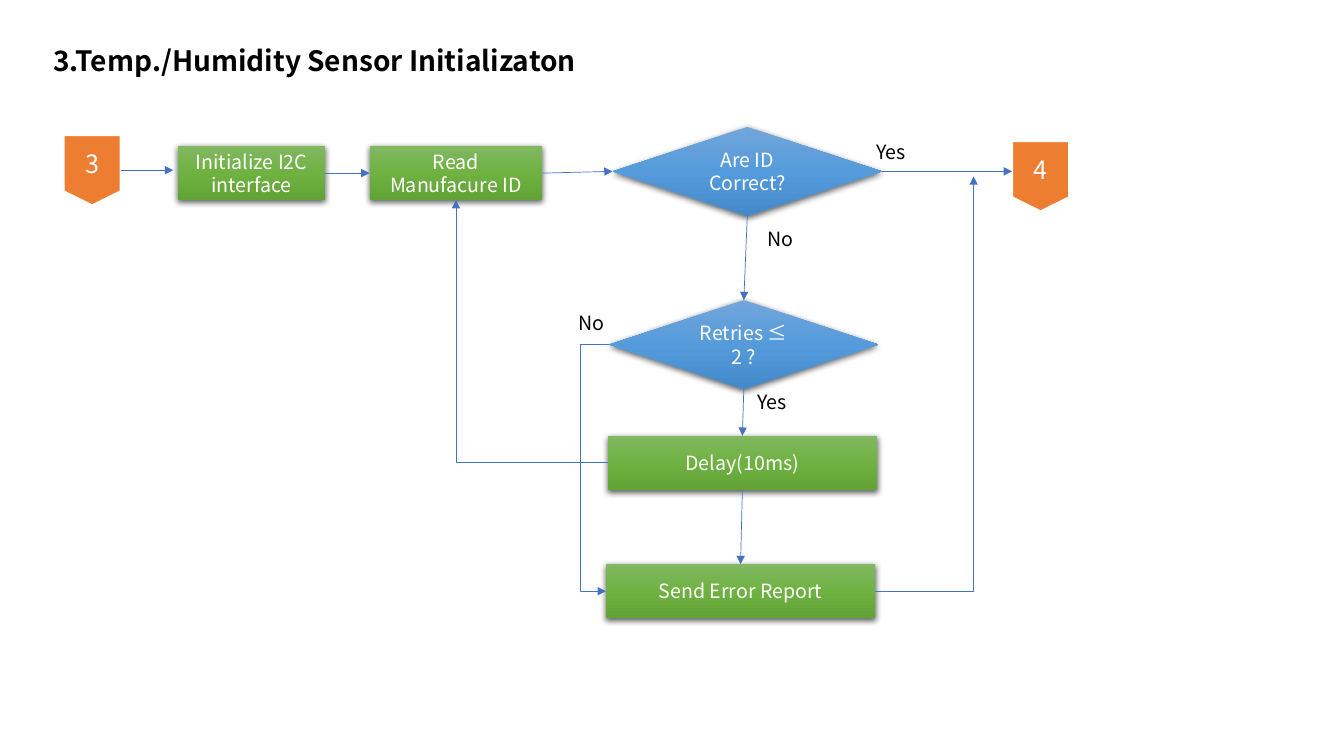
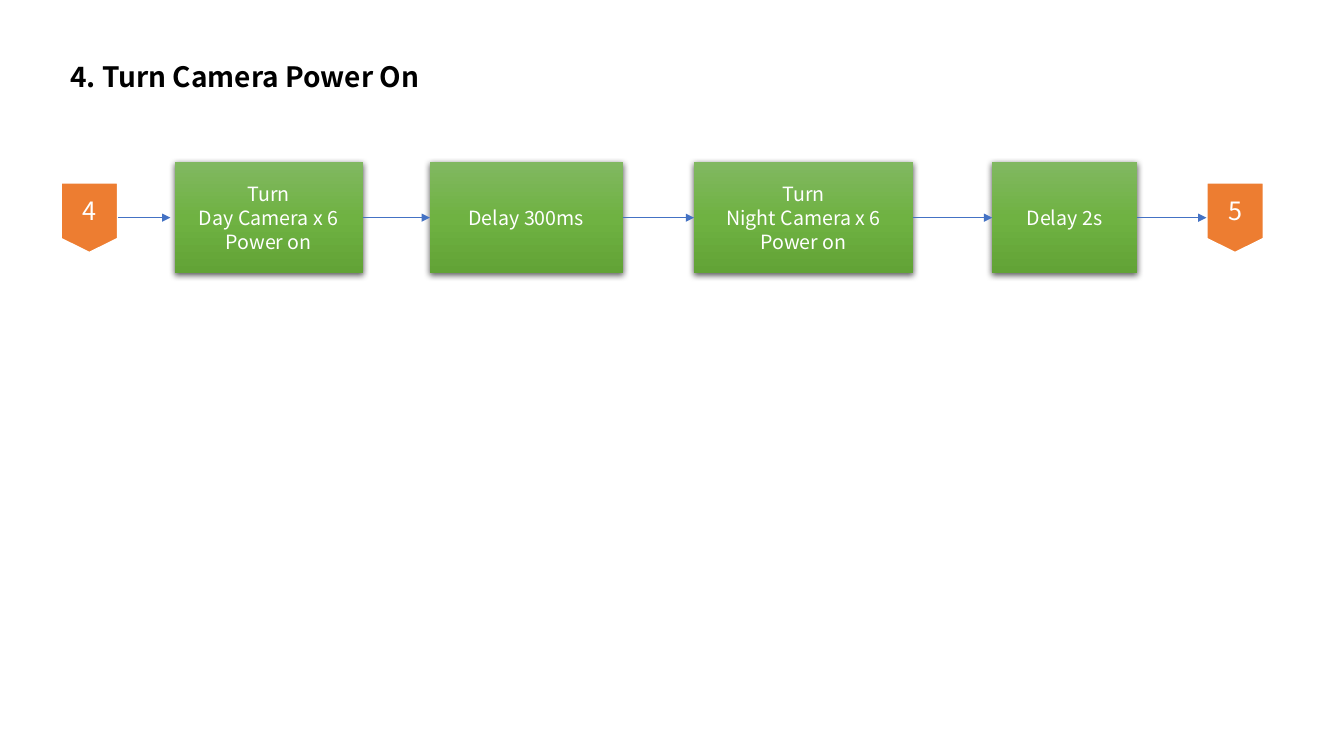
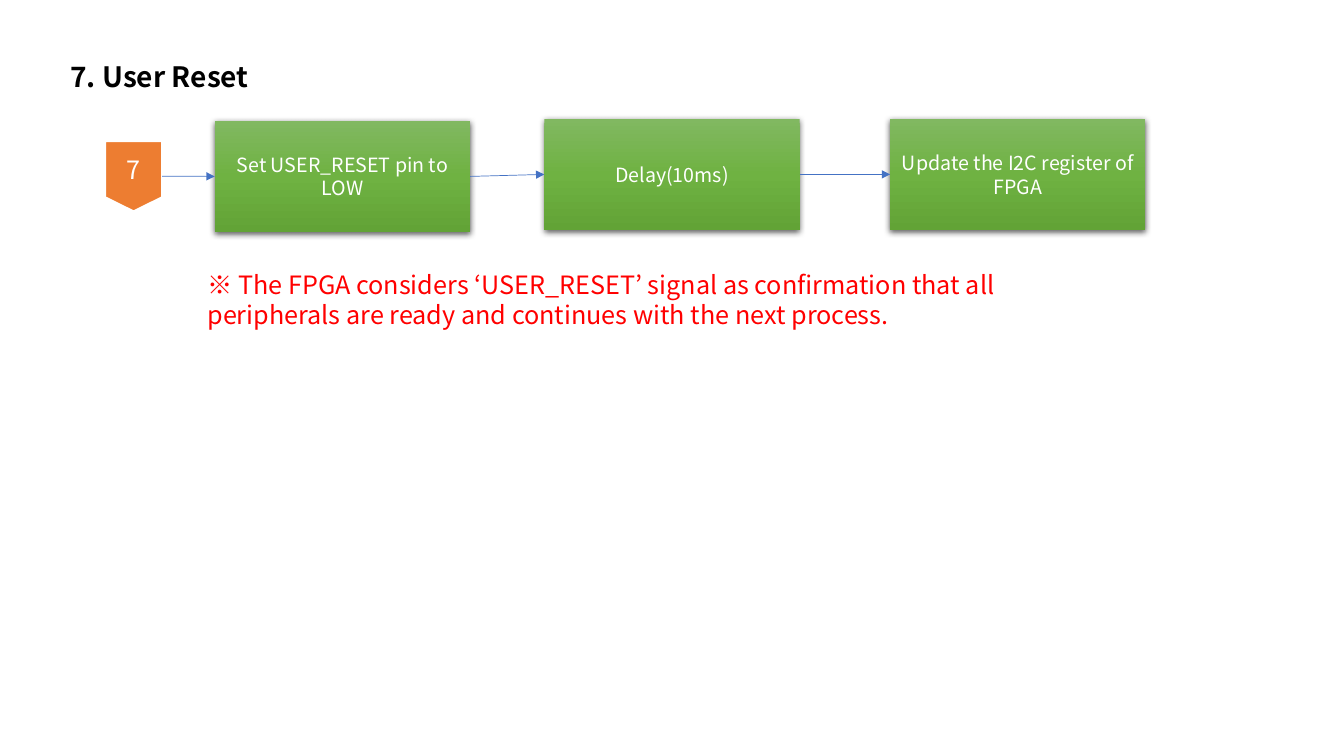
"""Draw three start-up flowcharts for a camera controller."""
import copy
import itertools

import lxml.etree
import pptx
import pptx.dml.color
import pptx.enum.shapes
import pptx.enum.text
import pptx.oxml.ns
import pptx.util

Pt = pptx.util.Pt
qn = pptx.oxml.ns.qn
Shape = pptx.enum.shapes.MSO_SHAPE
Connector = pptx.enum.shapes.MSO_CONNECTOR
Align = pptx.enum.text.PP_ALIGN
Anchor = pptx.enum.text.MSO_ANCHOR
TOP, LEFT, BOTTOM, RIGHT = range(4)


def color(value):
    return pptx.dml.color.RGBColor.from_string(value)


def write(frame, text, size=14, ink="FFFFFF", bold=False, align=Align.CENTER, anchor=Anchor.MIDDLE):
    frame.word_wrap = True
    frame.vertical_anchor = anchor
    for index, line in enumerate(text.split("\n")):
        paragraph = frame.add_paragraph() if index else frame.paragraphs[0]
        paragraph.alignment = align
        run = paragraph.add_run()
        run.text = line
        run.font.name = Flow.FONT
        run.font.size = Pt(size)
        run.font.bold = bold
        run.font.color.rgb = color(ink)
        east_asian = lxml.etree.SubElement(run.font._element, qn("a:ea"))
        east_asian.set("typeface", Flow.FONT)


class Flow:
    FONT = "Noto Sans CJK KR"
    GREEN = ("81B861", "6FB242", "62A336")
    BLUE = ("71A6DB", "559BDB", "448ACA")
    ORANGE = "ED7D31"
    LINE = "4472C4"

    def __init__(self):
        self.deck = pptx.Presentation()
        self.deck.slide_width = Pt(960)
        self.deck.slide_height = Pt(540)

    def start(self, title, x=43.2, y=38.9):
        self.slide = self.deck.slides.add_slide(self.deck.slide_layouts[6])
        self.note(title, x, y, 448.6, 31.5, size=20, bold=True)

    def note(self, text, x, y, width, height, ink="000000", align=Align.LEFT, **style):
        box = self.slide.shapes.add_textbox(Pt(x), Pt(y), Pt(width), Pt(height))
        write(box.text_frame, text, ink=ink, align=align, anchor=Anchor.TOP, **style)
        box.text_frame.auto_size = pptx.enum.text.MSO_AUTO_SIZE.SHAPE_TO_FIT_TEXT

    def branch(self, text, x, y):
        self.note(text, x, y, 86.4, 24.2, align=Align.CENTER)

    def place(self, kind, x, y, width, height):
        shape = self.slide.shapes.add_shape(kind, Pt(x), Pt(y), Pt(width), Pt(height))
        shape.shadow.inherit = False
        return shape

    def glossy(self, kind, shades, text, *bounds):
        shape = self.place(kind, *bounds)
        shape.fill.gradient()
        shape.fill.gradient_angle = 270
        properties = shape._element.spPr
        stops = properties.find(".//" + qn("a:gsLst"))
        stops.append(copy.deepcopy(stops[0]))
        for index, (stop, shade) in enumerate(zip(shape.fill.gradient_stops, shades)):
            stop.color.rgb = color(shade)
            stop.position = index / 2
        shape.line.fill.background()
        shadow = lxml.etree.SubElement(
            properties.find(qn("a:effectLst")), qn("a:outerShdw"),
            blurRad=str(Pt(4.5)), dist=str(Pt(1.5)), dir="5400000", algn="ctr", rotWithShape="0")
        black = lxml.etree.SubElement(shadow, qn("a:srgbClr"), val="000000")
        lxml.etree.SubElement(black, qn("a:alpha"), val="63000")
        write(shape.text_frame, text)
        return shape

    def process(self, text, *bounds):
        return self.glossy(Shape.FLOWCHART_PROCESS, self.GREEN, text, *bounds)

    def decision(self, text, x, y):
        return self.glossy(Shape.FLOWCHART_DECISION, self.BLUE, text, x, y, 192.4, 63.4)

    def page_link(self, number, x, y):
        link = self.place(Shape.FLOWCHART_OFFPAGE_CONNECTOR, x, y, 40.8, 50.2)
        link.fill.solid()
        link.fill.fore_color.rgb = color(self.ORANGE)
        link.line.color.rgb = color("FFFFFF")
        link.line.width = Pt(1.5)
        write(link.text_frame, number, size=18)
        return link

    def connector(self, kind, begin, end):
        points = [Pt(value) for value in (*begin, *end)]
        line = self.slide.shapes.add_connector(kind, *points)
        line.line.color.rgb = color(self.LINE)
        line.line.width = Pt(0.5)
        lxml.etree.SubElement(line.line._get_or_add_ln(), qn("a:tailEnd"), type="triangle")
        lxml.etree.SubElement(line._element.spPr, qn("a:effectLst"))
        return line

    def arrow(self, source, target=None, sides=(RIGHT, LEFT), tip=(0, 0)):
        line = self.connector(Connector.STRAIGHT, (0, 0), tip)
        line.begin_connect(source, sides[0])
        if target is not None:
            line.end_connect(target, sides[1])

    def elbow(self, begin, end, via=None):
        line = self.connector(Connector.ELBOW, begin, end)
        geometry = line._element.spPr.find(qn("a:prstGeom"))
        if via is None:
            geometry.set("prst", "bentConnector2")
        else:
            bend = round((via - begin[0]) / (end[0] - begin[0]) * 100000)
            guides = geometry.find(qn("a:avLst"))
            if guides is None:
                guides = lxml.etree.SubElement(geometry, qn("a:avLst"))
            lxml.etree.SubElement(guides, qn("a:gd"), name="adj1", fmla=f"val {bend}")


def sensor_initialization(flow):
    flow.start("3.Temp./Humidity Sensor Initializaton", 31, 27.4)
    entry = flow.page_link("3", 45.4, 96.5)
    exit_link = flow.page_link("4", 722.9, 100.8)
    initialize = flow.process("Initialize I2C interface", 127.2, 104.4, 105, 38.5)
    read_id = flow.process("Read Manufacure ID", 264, 104.4, 123.4, 38.5)
    id_check = flow.decision("Are ID Correct?", 437.6, 90.7)
    retry_check = flow.decision("Retries ≤\n2 ?", 435.1, 214.4)
    delay = flow.process("Delay(10ms)", 434.2, 311.3, 192.2, 38.5)
    report = flow.process("Send Error Report", 432.9, 403, 192.2, 38.5)

    flow.arrow(entry, tip=(123.8, 121.6))
    flow.arrow(initialize, read_id)
    flow.arrow(read_id, id_check)
    flow.arrow(id_check, tip=(722.9, 122.4))
    for upper, lower in itertools.pairwise([id_check, retry_check, delay, report]):
        flow.arrow(upper, lower, (BOTTOM, TOP))
    flow.elbow((434.2, 330.5), (325.7, 142.9))
    flow.elbow((435.1, 245.9), (432.9, 422.3), via=414.7)
    flow.elbow((625.1, 422.3), (695.5, 126))

    for answer, x, y in [("No", 514.1, 158.4), ("Yes", 508.3, 275),
                         ("Yes", 593.3, 96.5), ("No", 379.4, 218.2)]:
        flow.branch(answer, x, y)


def camera_power(flow):
    flow.start("4. Turn Camera Power On")
    entry = flow.page_link("4", 43.4, 130.4)
    steps = [flow.process(text, x, 115.9, width, 79.2) for text, x, width in [
        ("Turn\nDay Camera x 6\nPower on", 124.7, 134.6),
        ("Delay 300ms", 307.1, 137.8),
        ("Turn\nNight Camera x 6\nPower on", 495.8, 156.5),
        ("Delay 2s", 708.7, 103.4)]]
    exit_link = flow.page_link("5", 861.8, 130.4)
    flow.arrow(entry, tip=(121.7, 155.5))
    for before, after in itertools.pairwise([*steps, exit_link]):
        flow.arrow(before, after)


def user_reset(flow):
    flow.start("7. User Reset")
    entry = flow.page_link("7", 75, 100.8)
    steps = [flow.process(text, x, y, 182.4, 79.2) for text, x, y in [
        ("Set USER_RESET pin to LOW", 153.4, 86.4),
        ("Delay(10ms)", 388.8, 85),
        ("Update the I2C register of FPGA", 635.8, 85)]]
    for before, after in itertools.pairwise([entry, *steps]):
        flow.arrow(before, after)
    flow.note("※ The FPGA considers ‘USER_RESET’ signal as confirmation that all "
              "peripherals are ready and continues with the next process.",
              141.1, 188.6, 586.1, 50.9, size=18, ink="FF0000")


def main():
    flow = Flow()
    sensor_initialization(flow)
    camera_power(flow)
    user_reset(flow)
    flow.deck.save("out.pptx")


if __name__ == "__main__":
    main()
